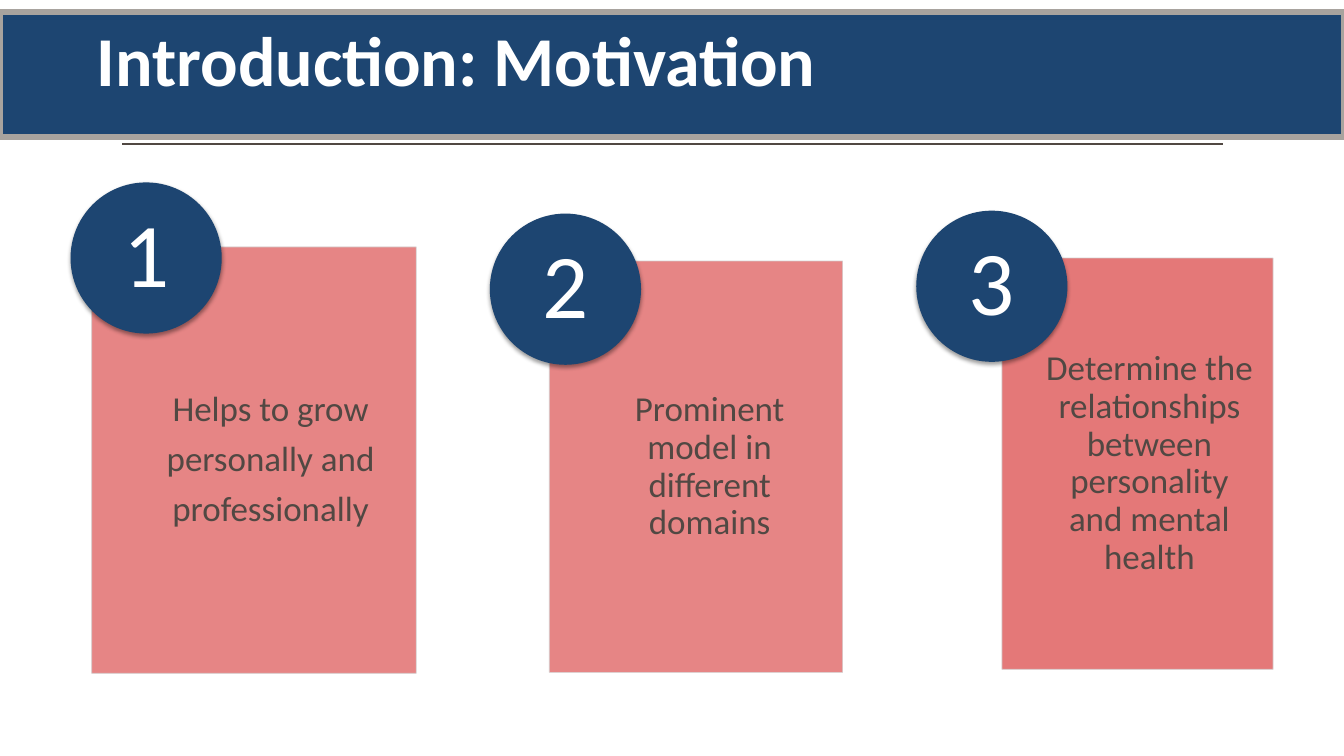
from lxml import etree
from pptx import Presentation
from pptx.dml.color import RGBColor
from pptx.enum import shapes, text
from pptx.oxml import ns
from pptx.util import Pt

COLORS = {"navy": "1D4571", "coral": "E47878", "ink": "514843", "white": "FFFFFF",
          "edge": "D0CFCF", "frame": "A8A39E", "black": "000000"}
RGB = {name: RGBColor.from_string(value) for name, value in COLORS.items()}
CIRCLE = 108

prs = Presentation()
prs.slide_width, prs.slide_height = Pt(960), Pt(540)
s = prs.slides.add_slide(prs.slide_layouts[6])


def add_box(kind, box, fill, edge=None, edge_width=0.5):
    sp = s.shapes.add_shape(kind, *map(Pt, box))
    sp.shadow.inherit = False
    sp.fill.solid()
    sp.fill.fore_color.rgb = RGB[fill]
    if edge:
        sp.line.color.rgb = RGB[edge]
        sp.line.width = Pt(edge_width)
    else:
        sp.line.fill.background()
    return sp


def write(sp, lines, size, color, insets, align=text.PP_ALIGN.CENTER,
          anchor=text.MSO_ANCHOR.MIDDLE, bold=False, spacing=0.9, after=0.35):
    """Fill the shape with one paragraph per line; after is a share of the size."""
    tf = sp.text_frame
    tf.word_wrap = True
    tf.vertical_anchor = anchor
    for side, inset in zip(("left", "top", "right", "bottom"), insets):
        setattr(tf, f"margin_{side}", Pt(inset))
    for i, line in enumerate(lines):
        p = tf.paragraphs[0] if i == 0 else tf.add_paragraph()
        p.alignment, p.line_spacing, p.space_after = align, spacing, Pt(size * after)
        r = p.add_run()
        r.text = line
        for key, value in {"name": "Calibri", "size": Pt(size), "bold": bold}.items():
            setattr(r.font, key, value)
        r.font.color.rgb = RGB[color]


rule = s.shapes.add_connector(shapes.MSO_CONNECTOR.STRAIGHT, Pt(873.4), Pt(103), Pt(87.1), Pt(103))
rule.line.color.rgb = RGB["ink"]
rule.line.width = Pt(1)
etree.SubElement(rule._element.spPr, ns.qn("a:effectLst"))

# Card box, left text inset, circle corner, opacity in percent, lines
cards = [
    ((65.5, 176.4, 231.8, 304.6), 37.4, (50.4, 130.3), 90,
     ["Helps to grow", "personally and", "professionally"]),
    ((392.4, 186.5, 209.5, 293.8), 33.1, (349.9, 152.6), 90,
     ["Prominent model in different domains"]),
    ((715.7, 184.3, 193.7, 293.8), 30.6, (654.5, 150.5), 100,
     ["Determine the relationships between personality and mental health"]),
]
for number, (box, inset, corner, opacity, lines) in enumerate(cards, 1):
    card = add_box(shapes.MSO_SHAPE.RECTANGLE, box, "coral", "edge")
    fill_color, edge_color = card._element.spPr.iter(ns.qn("a:srgbClr"))
    for color, percent in ((fill_color, opacity), (edge_color, 90)):
        if percent < 100:
            etree.SubElement(color, ns.qn("a:alpha"), val=str(percent * 1000))
    write(card, lines, 25, "ink", (inset, 13.7, 13.7, 13.7))

    circle = add_box(shapes.MSO_SHAPE.OVAL, (*corner, CIRCLE, CIRCLE), "navy")
    effects = circle._element.spPr.find(ns.qn("a:effectLst"))
    shadow = etree.SubElement(effects, ns.qn("a:outerShdw"), blurRad=str(Pt(3.1)),
                              dist=str(Pt(2)), dir="5400000", rotWithShape="0")
    color = etree.SubElement(shadow, ns.qn("a:srgbClr"), val=COLORS["black"])
    etree.SubElement(color, ns.qn("a:alpha"), val="38000")
    write(circle, [str(number)], 65, "white", (0, 0, 0, 0))

add_box(shapes.MSO_SHAPE.RECTANGLE, (0, 8.6, 960, 89.3), "navy", "frame", 3.78)
title = s.shapes.add_textbox(Pt(61.9), Pt(8.6), Pt(798.5), Pt(67.7))
write(title, ["Introduction: Motivation"], 50, "white", (7.2, 3.6, 7.2, 3.6),
      text.PP_ALIGN.LEFT, text.MSO_ANCHOR.TOP, bold=True, spacing=1.0, after=0)

prs.save("out.pptx")
